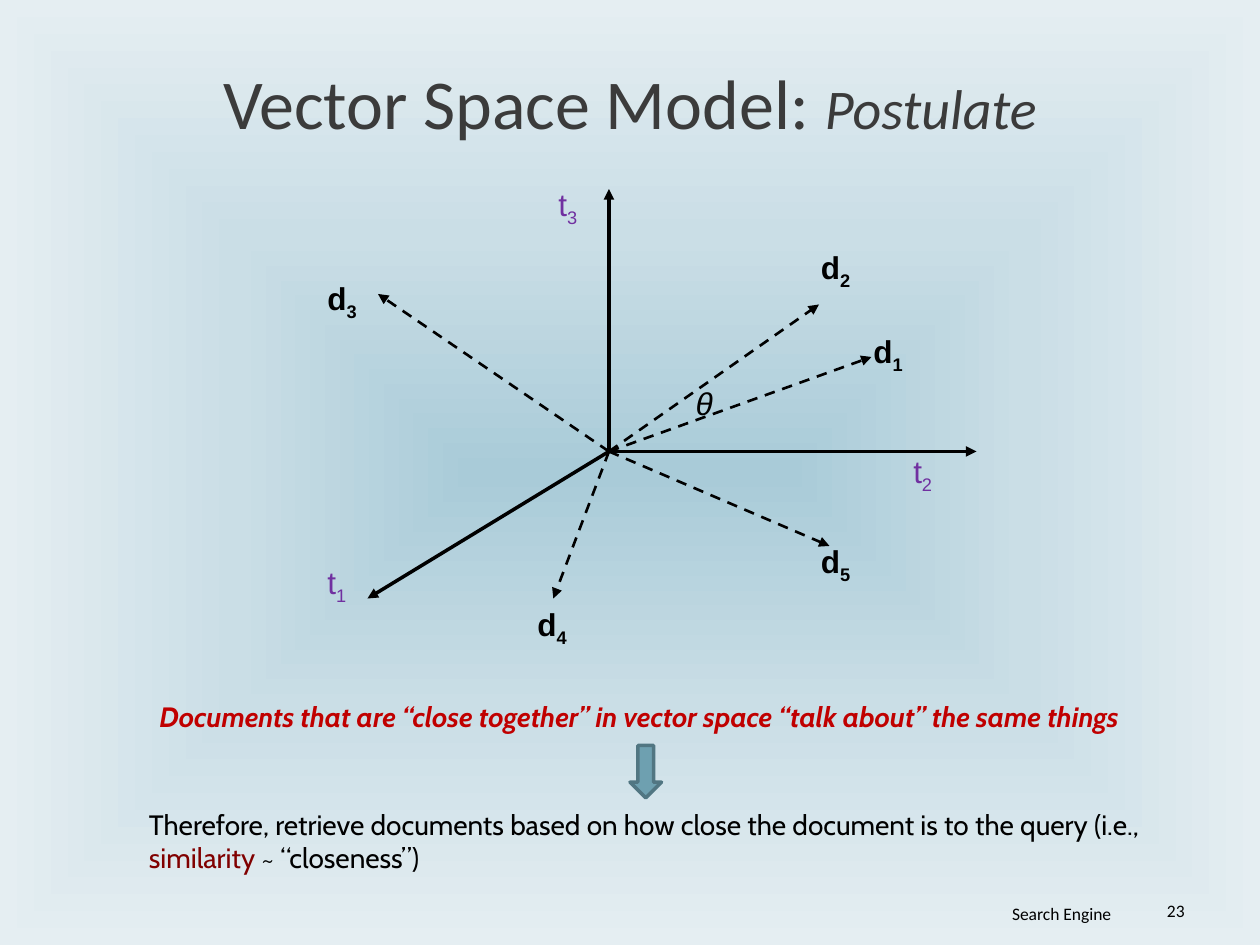
from dataclasses import dataclass

from lxml import etree
from pptx import Presentation
from pptx.dml.color import RGBColor
from pptx.enum.dml import MSO_LINE
from pptx.enum.shapes import MSO_CONNECTOR, MSO_SHAPE
from pptx.enum.text import MSO_ANCHOR, MSO_AUTO_SIZE, PP_ALIGN
from pptx.oxml import parse_xml
from pptx.oxml.ns import nsdecls, qn
from pptx.util import Inches, Pt

STRAIGHT, DOWN_ARROW = MSO_CONNECTOR.STRAIGHT, MSO_SHAPE.DOWN_ARROW
DASH = MSO_LINE.DASH
TOP, MIDDLE, BOTTOM = MSO_ANCHOR.TOP, MSO_ANCHOR.MIDDLE, MSO_ANCHOR.BOTTOM
LEFT, CENTER, RIGHT = PP_ALIGN.LEFT, PP_ALIGN.CENTER, PP_ALIGN.RIGHT
NO_FIT = MSO_AUTO_SIZE.NONE


@dataclass(frozen=True)
class Theme:
    ink: str = "000000"
    title: str = "3B3B3B"
    term: str = "7030A0"
    claim: str = "C00000"
    accent: str = "800000"
    arrow: str = "6EA0B0"
    arrow_edge: str = "517682"
    backdrop: tuple = ((0, "A9CBD8"), (50, "CADEE6"), (100, "E5EEF2"))
    title_size: int = 40
    subtitle_size: int = 32
    label_size: int = 18
    body_size: int = 16
    footer_size: int = 10


theme = Theme()
rgb = RGBColor.from_string
prs = Presentation()
prs.slide_width, prs.slide_height = Inches(10), Inches(7.5)
U = prs.slide_width / 120  # grid of 120 columns by 90 rows


def grid(*cells):
    return [round(c * U) for c in cells]


def add_text(box, runs, font, size, color, align=LEFT, anchor=TOP, wrap=True):
    """Add a text box at a grid box and return its paragraph."""
    tf = s.shapes.add_textbox(*grid(*box)).text_frame
    tf.word_wrap, tf.vertical_anchor = wrap, anchor
    p = tf.paragraphs[0]
    p.alignment = align
    for text in runs:
        p.add_run().text = text
    p.font.name, p.font.size, p.font.color.rgb = font, Pt(size), rgb(color)
    return p


# Background: rectangular gradient from the centre
s = prs.slides.add_slide(prs.slide_layouts[5])
s.background.fill.gradient()
grad = s.background._cSld.find(".//" + qn("a:gradFill"))
stops = "".join(f'<a:gs pos="{pos * 1000}"><a:srgbClr val="{color}"/></a:gs>'
                for pos, color in theme.backdrop)
grad.getparent().replace(grad, parse_xml(
    f'<a:gradFill {nsdecls("a")} rotWithShape="1"><a:gsLst>{stops}</a:gsLst>'
    '<a:path path="rect"><a:fillToRect l="50000" t="50000" r="50000" b="50000"/>'
    '</a:path></a:gradFill>'))

# Title
title = s.shapes.title
title.left, title.top, title.width, title.height = grid(6, 5, 108, 9.25)
tf = title.text_frame
tf.auto_size, tf.vertical_anchor = NO_FIT, MIDDLE
p = tf.paragraphs[0]
p.alignment = CENTER
p.font.name, p.font.color.rgb = "Calibri", rgb(theme.title)
for text, size, italic in (("Vector Space Model: ", theme.title_size, None),
                           ("Postulate", theme.subtitle_size, True)):
    r = p.add_run()
    r.text, r.font.size, r.font.italic = text, Pt(size), italic

# Footer and slide number
for text, box in (("Search Engine", (84, 86.6, 23, 2)), ("23", (108, 86.6, 6, 1.7))):
    add_text(box, [text], "Calibri", theme.footer_size, theme.ink, RIGHT, BOTTOM)

# Term axes (solid) and document vectors (dashed): name, index, tip, label corner
origin = (58, 43)
vectors = (
    ("t", "2", (93, 43), (85.8, 42.5)),
    ("t", "3", (58, 18), (52, 17)),
    ("t", "1", (35, 57), (30, 53)),
    ("d", "1", (83, 34), (82, 31)),
    ("d", "5", (79, 52), (77, 51)),
    ("d", "2", (78, 29), (77, 23)),
    ("d", "4", (52.7, 57), (50, 57)),
    ("d", "3", (36, 28), (30, 26)),
)
for name, index, tip, corner in vectors:
    is_axis = name == "t"
    c = s.shapes.add_connector(STRAIGHT, *grid(*origin, *tip))
    c.line.color.rgb = rgb(theme.ink)
    c.line.width = Pt(2 if is_axis else 1.5)
    if not is_axis:
        c.line.dash_style = DASH
    etree.SubElement(c.line._get_or_add_ln(), qn("a:tailEnd"), type="triangle")
    etree.SubElement(c._element.spPr, qn("a:effectLst"))

    p = add_text((*corner, 4.3 if is_axis else 5.4, 4.8), (name, index), "Arial",
                 theme.label_size, theme.term if is_axis else theme.ink, wrap=False)
    p.font.bold = not is_axis
    p.runs[1].font._element.set("baseline", "-25000")

# Angle between d1 and d2: two Bézier arcs sampled in inches
arcs = (((5.25, 3.27), (5.27, 3.26), (5.29, 3.25), (5.31, 3.27)),
        ((5.31, 3.27), (5.32, 3.3), (5.33, 3.39), (5.33, 3.42)))
STEPS = 8
points = []
for arc in arcs:
    for i in range(1, STEPS + 1):
        t = i / STEPS
        weights = ((1 - t) ** 3, 3 * t * (1 - t) ** 2, 3 * t * t * (1 - t), t ** 3)
        points.append([sum(w * pt[k] for w, pt in zip(weights, arc)) for k in (0, 1)])
fb = s.shapes.build_freeform(*arcs[0][0], scale=Inches(1))
fb.add_line_segments(points, close=False)
sp = fb.convert_to_shape()
sp.shadow.inherit = False
sp.fill.background()
sp.line.color.rgb, sp.line.width = rgb(theme.ink), Pt(0.75)
p = add_text((65, 36, 3.6, 4.4), ["θ"], "Courier New", theme.label_size, theme.ink)
p.font.italic = True

# Postulate, arrow and conclusion
p = add_text((14, 66, 95, 7.7),
             ["Documents that are “close together” in vector space “talk about” the same things"],
             "Cabin", theme.body_size, theme.claim)
p.font.bold = p.font.italic = True

sp = s.shapes.add_shape(DOWN_ARROW, *grid(60, 71, 3, 5))
sp.shadow.inherit = False
sp.fill.solid()
sp.fill.fore_color.rgb = rgb(theme.arrow)
sp.line.color.rgb, sp.line.width = rgb(theme.arrow_edge), Pt(2)

p = add_text((13, 76.3, 98, 7.7),
             ["Therefore, retrieve documents based on how close the document is to the query (i.e., ",
              "similarity", " ~ “closeness”)"],
             "Cabin", theme.body_size, theme.ink)
p.runs[1].font.color.rgb = rgb(theme.accent)

prs.save("out.pptx")
